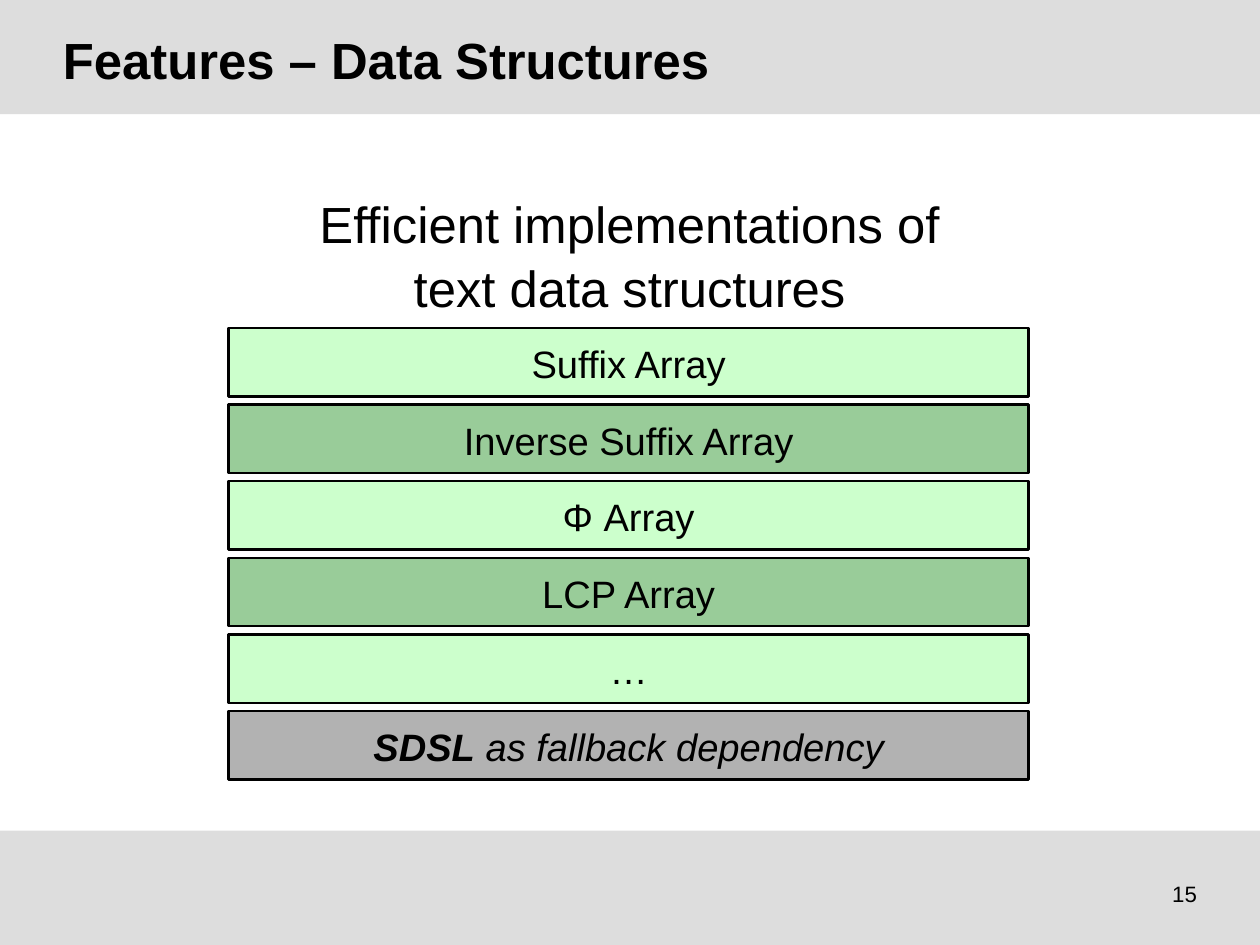
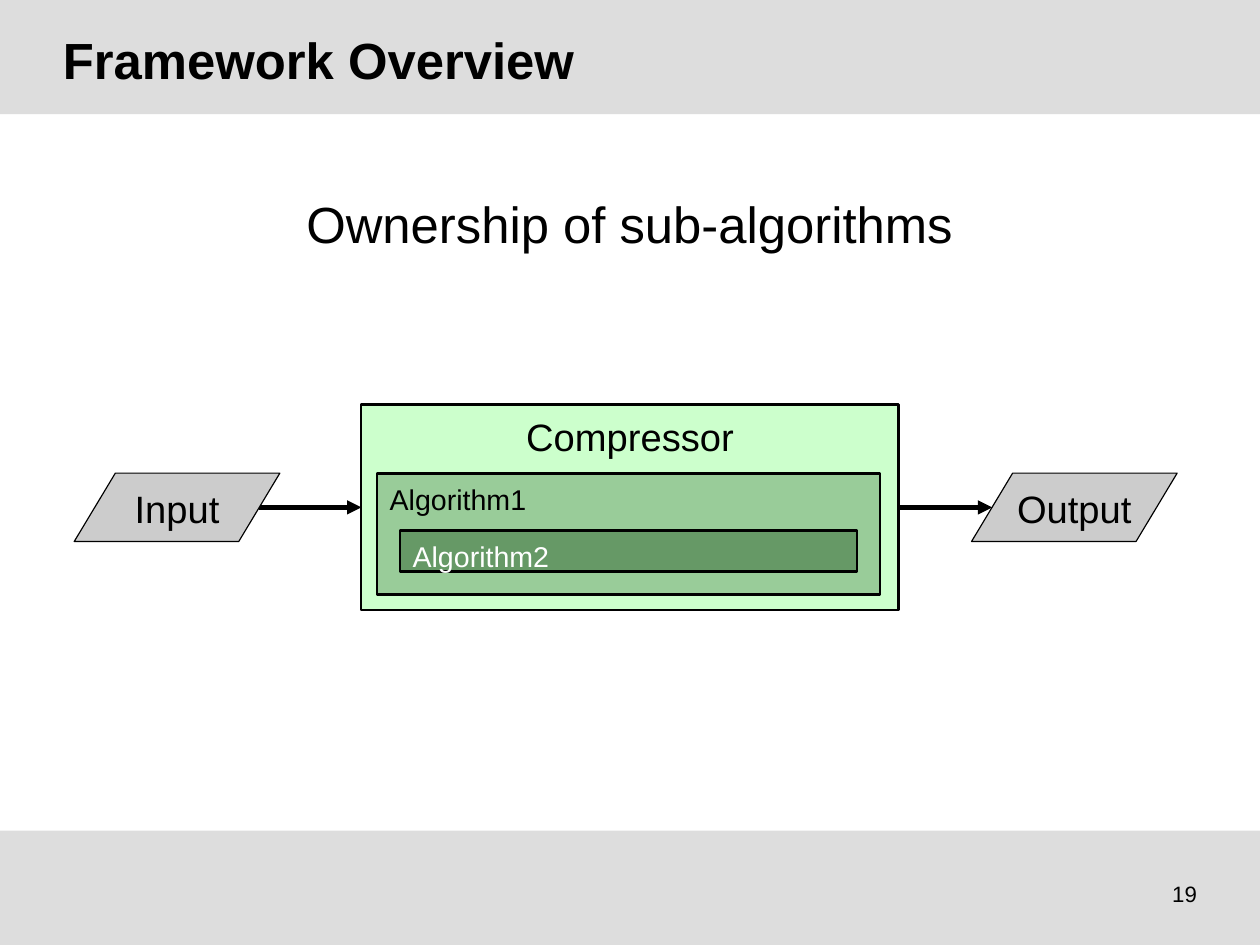
from collections import namedtuple

from lxml.etree import SubElement
from pptx import Presentation
from pptx.dml.color import RGBColor
from pptx.enum.shapes import MSO_CONNECTOR, MSO_SHAPE
from pptx.enum.text import MSO_ANCHOR, PP_ALIGN
from pptx.oxml.ns import qn
from pptx.util import Cm, Pt

Box = namedtuple("Box", "left top width height")

PAGE_WIDTH, PAGE_HEIGHT, BAND_HEIGHT = 28, 21, 2.54
BLACK, WHITE, BAND_GREY = "000000", "FFFFFF", "DDDDDD"
LIGHT_GREEN, MID_GREEN, DARK_GREEN = "CCFFCC", "99CC99", "669966"
FALLBACK_GREY, DATA_GREY = "B2B2B2", "CCCCCC"
TITLE = {"size": Pt(32), "bold": True}
HEADING = {"size": Pt(32)}
LABEL = {"size": Pt(24)}
SMALL_LABEL = {"size": Pt(18)}
PAGE_NUMBER = {"size": Pt(14)}


def colour(hex_string):
    return RGBColor.from_string(hex_string)


def lengths(values):
    return [Cm(value) for value in values]


def write(shape, lines, style, ink=BLACK, align=PP_ALIGN.CENTER,
          anchor=MSO_ANCHOR.MIDDLE, insets=(0.28, 0.15)):
    """Fill a shape with lines; each line is a list of (text, extra format) spans."""
    frame = shape.text_frame
    side, edge = lengths(insets)
    layout = {"word_wrap": True, "vertical_anchor": anchor,
              "margin_left": side, "margin_right": side,
              "margin_top": edge, "margin_bottom": edge}
    for name, value in layout.items():
        setattr(frame, name, value)
    for index, line in enumerate(lines):
        para = frame.add_paragraph() if index else frame.paragraphs[0]
        para.alignment = align
        para.line_spacing = 1.05
        for text, extra in line:
            span = para.add_run()
            span.text = text
            span.font.color.rgb = colour(ink)
            for name, value in {"name": "Arial", **style, **extra}.items():
                setattr(span.font, name, value)


def plain(*texts):
    return [[(text, {})] for text in texts]


def add_text(page, box, lines, style, **options):
    write(page.shapes.add_textbox(*lengths(box)), lines, style, **options)


def add_block(page, box, fill, line_width=1.5, kind=MSO_SHAPE.RECTANGLE):
    """Add a filled shape, outlined in black unless line_width is None."""
    shape = page.shapes.add_shape(kind, *lengths(box))
    shape.shadow.inherit = False
    shape.fill.solid()
    shape.fill.fore_color.rgb = colour(fill)
    if line_width is None:
        shape.line.fill.background()
    else:
        shape.line.color.rgb = colour(BLACK)
        shape.line.width = Pt(line_width)
    return shape


def add_arrow(page, start, end):
    arrow = page.shapes.add_connector(MSO_CONNECTOR.STRAIGHT, *lengths(start + end))
    arrow.line.color.rgb = colour(BLACK)
    arrow.line.width = Pt(3)
    SubElement(arrow.line._get_or_add_ln(), qn("a:tailEnd"), type="triangle")
    SubElement(arrow._element.spPr, qn("a:effectLst"))
    return arrow


def add_page(deck, title, number, heading):
    """Add a blank page with bands, title, page number and centred heading."""
    page = deck.slides.add_slide(deck.slide_layouts[6])
    for top in (0, PAGE_HEIGHT - BAND_HEIGHT):
        add_block(page, Box(0, top, PAGE_WIDTH, BAND_HEIGHT), BAND_GREY, None)
    add_text(page, Box(1.4, 0.53, 25.2, 1.5), plain(title), TITLE,
             align=PP_ALIGN.LEFT, insets=(0, 0))
    add_text(page, Box(20.07, 19.13, 6.53, 1.45), plain(number), PAGE_NUMBER,
             align=PP_ALIGN.RIGHT, insets=(0, 0))
    add_text(page, Box(6, 4.09, 16, 0.25 + 1.27 * len(heading)), plain(*heading),
             HEADING, anchor=MSO_ANCHOR.TOP, insets=(0.25, 0.13))
    return page


def add_stack(page, box, bars, gap):
    """Stack bars of equal height in the box; each bar is (spans, fill)."""
    height = (box.height - gap * (len(bars) - 1)) / len(bars)
    for index, (spans, fill) in enumerate(bars):
        top = box.top + index * (height + gap)
        bar = add_block(page, Box(box.left, top, box.width, height), fill)
        write(bar, [spans], LABEL)


def add_compressor(page, box):
    """Nest the algorithms inside the compressor block and return the block."""
    nested = [
        ("Compressor", box, LIGHT_GREEN, LABEL, BLACK, PP_ALIGN.CENTER),
        ("Algorithm1", Box(box.left + 0.35, box.top + 1.53, 11.18, 2.69),
         MID_GREEN, SMALL_LABEL, BLACK, PP_ALIGN.LEFT),
        ("Algorithm2", Box(box.left + 0.86, box.top + 2.8, 10.16, 0.91),
         DARK_GREEN, SMALL_LABEL, WHITE, PP_ALIGN.LEFT),
    ]
    blocks = []
    for text, place, fill, style, ink, align in nested:
        block = add_block(page, place, fill)
        write(block, plain(text), style, ink, align, MSO_ANCHOR.TOP)
        blocks.append(block)
    return blocks[0]


def add_data(page, box, text):
    shape = add_block(page, box, DATA_GREY, 0, MSO_SHAPE.FLOWCHART_DATA)
    write(shape, plain(text), LABEL, insets=(0, 0.13))


def add_flow(page, box):
    """Run input, compressor and output from left to right in the box."""
    data_width, data_height, slant = 4.57, 1.52, 0.46
    middle = box.top + box.height / 2
    data_top = middle - data_height / 2
    right = box.left + box.width
    core = Box(box.left + 6.38, box.top, 11.94, box.height)
    compressor = add_compressor(page, core)
    arrow_in = add_arrow(page, (box.left + data_width - slant, middle), (core.left, middle))
    arrow_in.end_connect(compressor, 1)
    arrow_out = add_arrow(page, (core.left + core.width, middle),
                          (right - data_width + slant, middle))
    arrow_out.begin_connect(compressor, 3)
    for text, left in (("Input", box.left), ("Output", right - data_width)):
        add_data(page, Box(left, data_top, data_width, data_height), text)


def add_data_structures_page(deck):
    page = add_page(deck, "Features – Data Structures", "15",
                    ["Efficient implementations of", "text data structures"])
    names = ["Suffix Array", "Inverse Suffix Array", "Φ Array", "LCP Array", "…"]
    bars = [([(name, {})], (LIGHT_GREEN, MID_GREEN)[index % 2])
            for index, name in enumerate(names)]
    fallback = [("SDSL", {"bold": True, "italic": True}),
                (" as fallback dependency", {"italic": True})]
    bars.append((fallback, FALLBACK_GREY))
    add_stack(page, Box(5.08, 7.29, 17.78, 10.03), bars, gap=0.18)


def add_overview_page(deck):
    page = add_page(deck, "Framework Overview", "19", ["Ownership of sub-algorithms"])
    add_flow(page, Box(1.65, 8.99, 24.51, 4.57))


def main():
    deck = Presentation()
    deck.slide_width, deck.slide_height = Cm(PAGE_WIDTH), Cm(PAGE_HEIGHT)
    add_data_structures_page(deck)
    add_overview_page(deck)
    deck.save("out.pptx")


if __name__ == "__main__":
    main()
